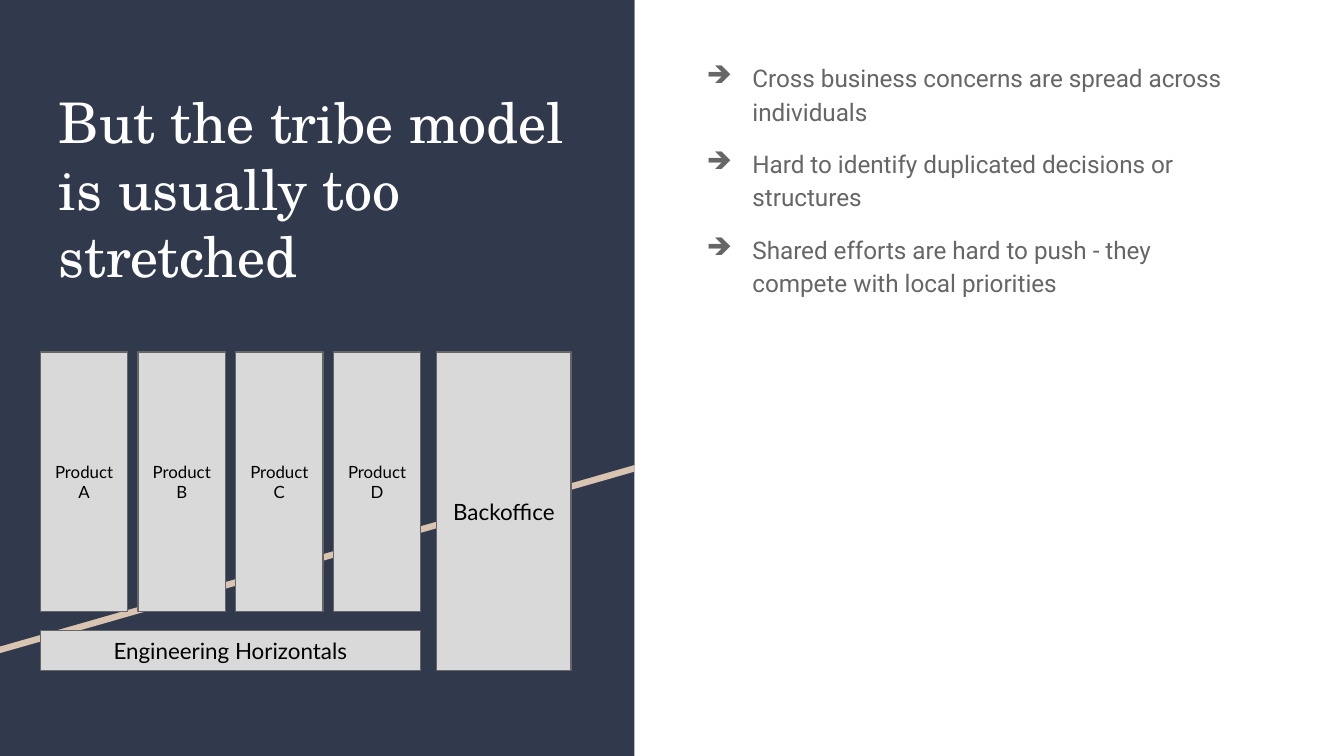
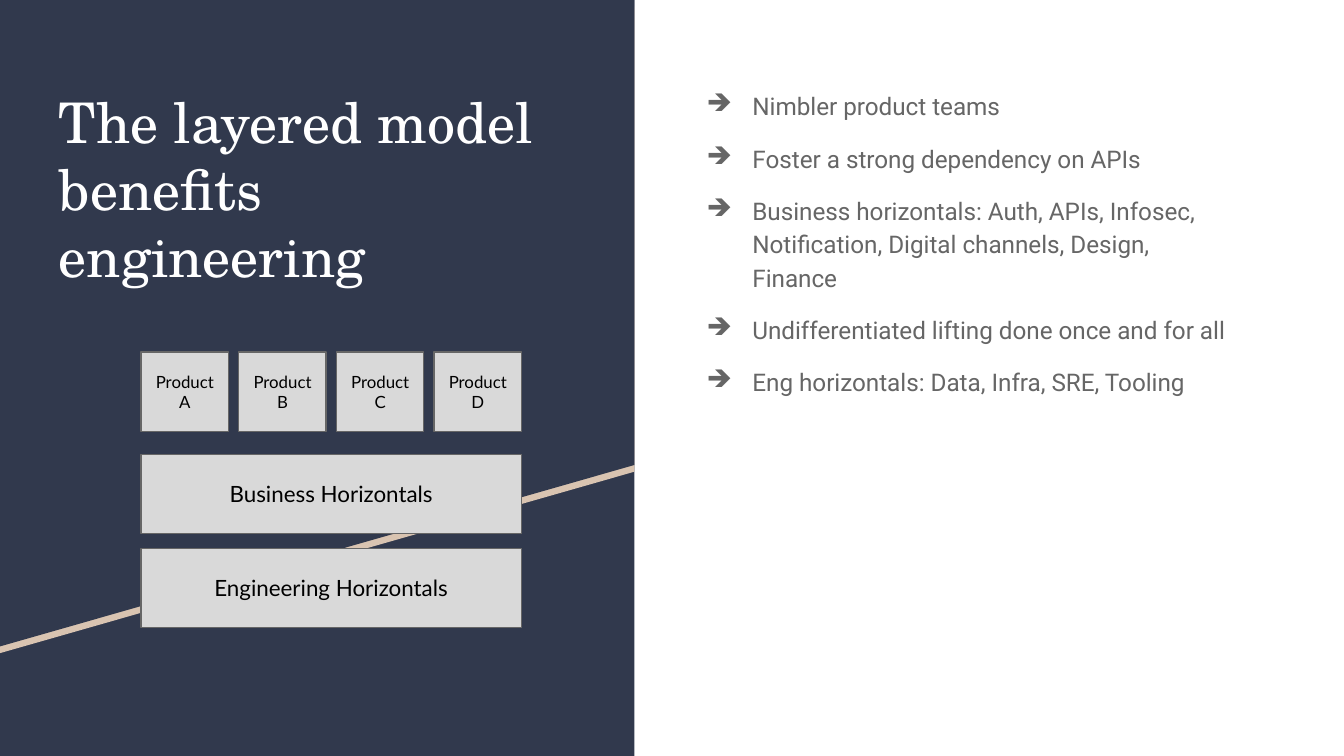
from lxml import etree
from pptx import Presentation
from pptx.dml.color import RGBColor
from pptx.enum.shapes import MSO_SHAPE as Shape
from pptx.enum.text import MSO_ANCHOR as Anchor, PP_ALIGN as Align
from pptx.oxml.ns import qn
from pptx.util import Inches, Pt

NAVY = RGBColor(0x31, 0x39, 0x4D)
SAND = RGBColor(0xD9, 0xC4, 0xB1)
WHITE = RGBColor(0xFF, 0xFF, 0xFF)
BLACK = RGBColor(0x00, 0x00, 0x00)
GREY = RGBColor(0x66, 0x66, 0x66)
LIGHT_GREY = RGBColor(0xD9, 0xD9, 0xD9)

deck = Presentation()
deck.slide_width = Inches(10)
deck.slide_height = deck.slide_width * 9 // 16
CELL = deck.slide_width // 100

PANEL_WIDTH = 47.2
STACK_TOP = 26.2
STACK_WIDTH = 28.3
PRODUCT_WIDTH = 6.5
PRODUCTS = ["Product A", "Product B", "Product C", "Product D"]
PRODUCT_STEP = (STACK_WIDTH - PRODUCT_WIDTH) / (len(PRODUCTS) - 1)

SLIDES = [
    {
        "title": "But the tribe model is usually too stretched",
        "points": [
            "Cross business concerns are spread across individuals",
            "Hard to identify duplicated decisions or structures",
            "Shared efforts are hard to push - they compete with local priorities",
        ],
        "points_area": (50, 3.4, 42.1, 24.7),
        "stack_left": 3,
        "product_height": 19.3,
        "blocks": [
            ("Engineering Horizontals", (3, 46.9, STACK_WIDTH, 3)),
            ("Backoffice", (32.5, STACK_TOP, 10, 23.7)),
        ],
    },
    {
        "title": "The layered model benefits engineering",
        "points": [
            "Nimbler product teams",
            "Foster a strong dependency on APIs",
            "Business horizontals: Auth, APIs, Infosec, Notification, Digital channels, Design, Finance",
            "Undifferentiated lifting done once and for all",
            "Eng horizontals: Data, Infra, SRE, Tooling",
        ],
        "points_area": (50, 5.5, 42.1, 30.9),
        "stack_left": 10.5,
        "product_height": 5.9,
        "blocks": [
            ("Engineering Horizontals", (10.5, 40.8, STACK_WIDTH, 5.9)),
            ("Business Horizontals", (10.5, 33.8, STACK_WIDTH, 5.9)),
        ],
    },
]


def grid(*cells):
    return [round(cell * CELL) for cell in cells]


def write(box, lines, font_name, size, color):
    frame = box.text_frame
    frame.word_wrap = True
    frame.margin_left = frame.margin_right = CELL
    frame.margin_top = frame.margin_bottom = CELL
    frame.text = "\n".join(lines)
    for para in frame.paragraphs:
        para.font.name = font_name
        para.font.size = Pt(size)
        para.font.color.rgb = color
    return frame


for content in SLIDES:
    page = deck.slides.add_slide(deck.slide_layouts[6])
    page.background.fill.solid()
    page.background.fill.fore_color.rgb = WHITE
    shapes = page.shapes

    panel = shapes.add_shape(Shape.RECTANGLE, 0, 0, *grid(PANEL_WIDTH), deck.slide_height)
    bands = [panel]
    for drop in (0.5, 0):
        outline = shapes.build_freeform(*grid(0, drop))
        outline.add_line_segments([
            grid(PANEL_WIDTH, drop),
            grid(PANEL_WIDTH, 34.6 + drop),
            grid(0, 48.1 + drop),
        ])
        bands.append(outline.convert_to_shape())
    for band, color in zip(bands, (NAVY, SAND, NAVY)):
        band.shadow.inherit = False
        band.fill.solid()
        band.fill.fore_color.rgb = color
        band.line.fill.background()

    points_box = shapes.add_textbox(*grid(*content["points_area"]))
    frame = write(points_box, content["points"], "Roboto", 13, GREY)
    for index, para in enumerate(frame.paragraphs):
        para.line_spacing = 1.15
        para.space_before = Pt(10 if index else 0)
        properties = para._p.get_or_add_pPr()
        properties.set("marL", str(Inches(0.5)))
        properties.set("indent", str(Inches(-0.34)))
        bullet_color = etree.Element(qn("a:buClr"))
        etree.SubElement(bullet_color, qn("a:srgbClr"), val=str(GREY))
        bullet = etree.Element(qn("a:buChar"), char="➔")
        defaults = properties.find(qn("a:defRPr"))
        defaults.addprevious(bullet_color)
        defaults.addprevious(bullet)

    title_box = shapes.add_textbox(*grid(3.4, 5.5, 40.5, 27.4))
    write(title_box, [content["title"]], "TeX Gyre Schola", 30, WHITE)

    blocks = [(label, area, 12) for label, area in content["blocks"]]
    for index, product in enumerate(PRODUCTS):
        left = content["stack_left"] + index * PRODUCT_STEP
        area = (left, STACK_TOP, PRODUCT_WIDTH, content["product_height"])
        blocks.append((product, area, 9))
    for label, area, size in blocks:
        block = shapes.add_shape(Shape.RECTANGLE, *grid(*area))
        block.shadow.inherit = False
        block.fill.solid()
        block.fill.fore_color.rgb = LIGHT_GREY
        block.line.color.rgb = GREY
        block.line.width = Pt(0.75)
        frame = write(block, [label], "Lato", size, BLACK)
        frame.vertical_anchor = Anchor.MIDDLE
        frame.paragraphs[0].alignment = Align.CENTER

deck.save("out.pptx")
